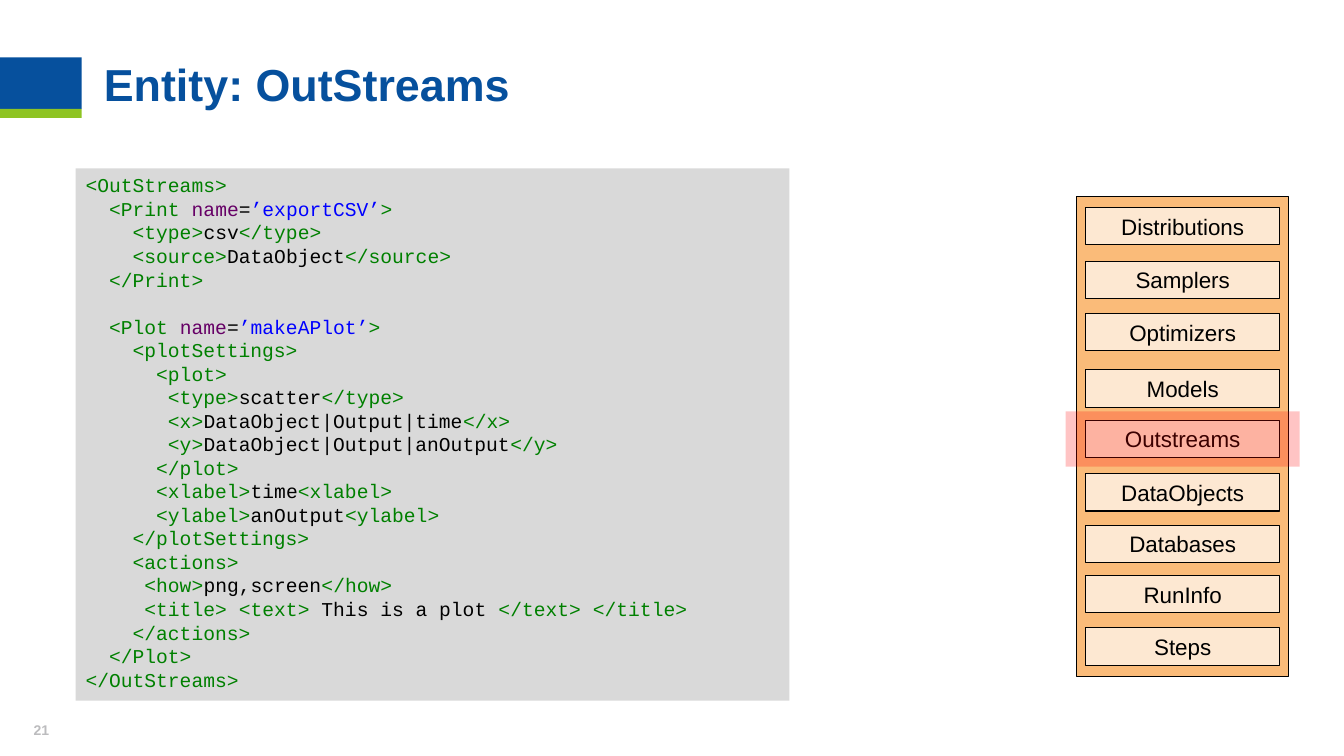
"""Build the OutStreams entity slide: an XML example beside the entity list."""
from lxml.etree import SubElement
from pptx import Presentation
from pptx.dml.color import RGBColor
from pptx.enum.shapes import MSO_SHAPE as Shape
from pptx.enum.text import MSO_ANCHOR as Anchor, PP_ALIGN as Align
from pptx.oxml.ns import qn
from pptx.util import Inches, Pt

TITLE = "Entity: OutStreams"
PAGE = "21"
CODE = """<OutStreams>
  <Print name=’exportCSV’>
    <type>csv</type>
    <source>DataObject</source>
  </Print>

  <Plot name=’makeAPlot’>
    <plotSettings>
      <plot>
       <type>scatter</type>
       <x>DataObject|Output|time</x>
       <y>DataObject|Output|anOutput</y>
      </plot>
      <xlabel>time<xlabel>
      <ylabel>anOutput<ylabel>
    </plotSettings>
    <actions>
     <how>png,screen</how>
     <title> <text> This is a plot </text> </title>
    </actions>
  </Plot>
</OutStreams>"""
ENTITY_TOPS = {
    "Distributions": 2.06, "Samplers": 2.59, "Optimizers": 3.11,
    "Models": 3.67, "Outstreams": 4.17, "DataObjects": 4.7,
    "Databases": 5.21, "RunInfo": 5.71, "Steps": 6.23,
}
CURRENT = "Outstreams"
COLORS = {
    "blue": "06509D", "green": "8EC423", "code_panel": "D9D9D9",
    "entity_panel": "FABB79", "entity": "FDE8D2", "highlight": "FF0000",
    "black": "000000", "page": "BCBCBE",
    "tag": "008000", "attribute": "660066", "value": "0000FF",
}
ENTITY_LEFT, ENTITY_WIDTH, ENTITY_HEIGHT = 10.77, 1.92, 0.37
PANEL_MARGIN, HIGHLIGHT_MARGIN = 0.09, 0.2
CODE_LEADING = Pt(16.8)


def color(name):
    return RGBColor.from_string(COLORS[name])


def format_font(font, size, color_name, name="Arial", bold=False):
    font.size, font.name, font.bold = Pt(size), name, bold
    font.color.rgb = color(color_name)


def add_box(slide, left, top, width, height, fill, outlined=False):
    box = slide.shapes.add_shape(
        Shape.RECTANGLE, *map(Inches, (left, top, width, height)))
    box.shadow.inherit = False
    box.fill.solid()
    box.fill.fore_color.rgb = color(fill)
    if outlined:
        box.line.color.rgb = color("black")
        box.line.width = Pt(0.75)
    else:
        box.line.fill.background()
    return box


def code_runs(line):
    indent, *parts = line.split("<")
    runs = [(indent, "tag")]
    for part in parts:
        tag, _, text = part.partition(">")
        element, _, attribute = tag.partition(" ")
        if attribute:
            key, _, value = attribute.partition("=")
            runs += [(f"<{element} ", "tag"), (key, "attribute"),
                     ("=", "black"), (value, "value"), (">", "tag")]
        else:
            runs.append((f"<{tag}>", "tag"))
        runs.append((text, "black"))
    return [run for run in runs if run[0]]


def add_title(slide):
    title = slide.shapes.title
    title.left, title.top, title.width, title.height = map(
        Inches, (1.03, 0.61, 11.39, 0.54))
    frame = title.text_frame
    frame.text = TITLE
    frame.margin_left = frame.margin_top = 0
    frame.vertical_anchor = Anchor.BOTTOM
    paragraph = frame.paragraphs[0]
    paragraph.alignment = Align.LEFT
    paragraph.line_spacing = 0.9
    format_font(paragraph.runs[0].font, 32, "blue", bold=True)


def add_code(slide):
    frame = add_box(slide, 0.75, 1.67, 7.08, 5.28, "code_panel").text_frame
    frame.word_wrap = True
    frame.vertical_anchor = Anchor.TOP
    paragraph = frame.paragraphs[0]
    for block_index, block in enumerate(CODE.split("\n\n")):
        for line_index, line in enumerate(block.split("\n")):
            if block_index or line_index:
                paragraph = frame.add_paragraph()
            paragraph.alignment = Align.LEFT
            paragraph.line_spacing = CODE_LEADING
            if block_index and not line_index:
                paragraph.space_before = CODE_LEADING
            for text, color_name in code_runs(line):
                run = paragraph.add_run()
                run.text = text
                format_font(run.font, 14, color_name, "Courier New")


def add_entities(slide):
    add_box(slide, ENTITY_LEFT - PANEL_MARGIN, 1.95,
            ENTITY_WIDTH + 2 * PANEL_MARGIN, 4.76, "entity_panel", True)
    for name, top in ENTITY_TOPS.items():
        box = add_box(slide, ENTITY_LEFT, top, ENTITY_WIDTH, ENTITY_HEIGHT,
                      "entity", True)
        frame = box.text_frame
        frame.text = name
        frame.word_wrap = False
        frame.vertical_anchor = Anchor.MIDDLE
        paragraph = frame.paragraphs[0]
        paragraph.alignment = Align.CENTER
        format_font(paragraph.runs[0].font, 16, "black")
    highlight = add_box(
        slide, ENTITY_LEFT - HIGHLIGHT_MARGIN,
        ENTITY_TOPS[CURRENT] - PANEL_MARGIN,
        ENTITY_WIDTH + 2 * HIGHLIGHT_MARGIN,
        ENTITY_HEIGHT + 2 * PANEL_MARGIN, "highlight")
    fill_color = highlight.fill._xPr.find(qn("a:solidFill"))[0]
    SubElement(fill_color, qn("a:alpha")).set("val", "23000")


def add_page_number(slide):
    box = slide.shapes.add_textbox(*map(Inches, (0.17, 7.1, 0.48, 0.4)))
    frame = box.text_frame
    frame.text = PAGE
    frame.word_wrap = True
    frame.margin_bottom = Inches(0.17)
    frame.vertical_anchor = Anchor.MIDDLE
    paragraph = frame.paragraphs[0]
    paragraph.alignment = Align.CENTER
    format_font(paragraph.runs[0].font, 10, "page", bold=True)


def main():
    presentation = Presentation()
    presentation.slide_width = Inches(13.33)
    presentation.slide_height = Inches(7.5)
    slide = presentation.slides.add_slide(presentation.slide_layouts[5])
    add_box(slide, 0, 0.57, 0.81, 0.51, "blue")
    add_box(slide, 0, 1.08, 0.81, 0.09, "green")
    add_title(slide)
    add_code(slide)
    add_entities(slide)
    add_page_number(slide)
    presentation.save("out.pptx")


if __name__ == "__main__":
    main()
